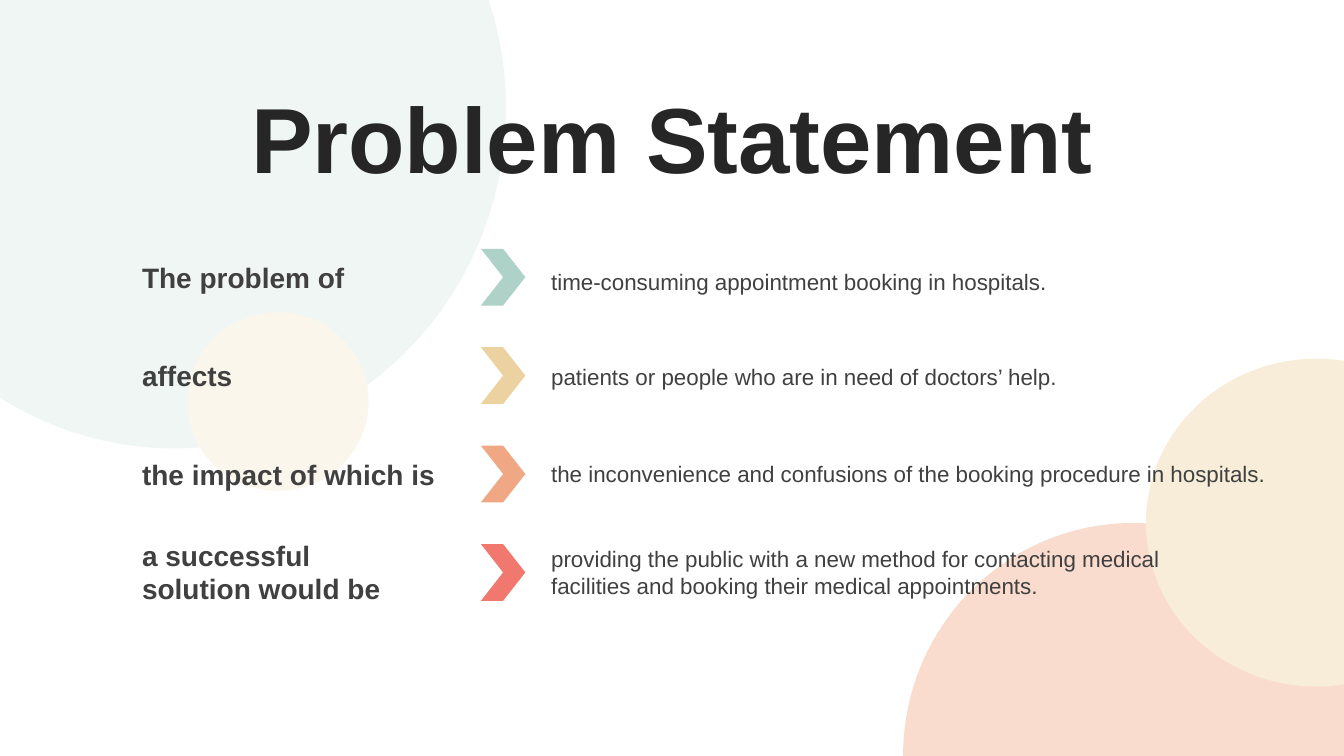
import pptx
import pptx.dml.color
import pptx.enum.shapes
import pptx.enum.text
import pptx.slide
import pptx.text.text
import pptx.util
from typing import NamedTuple

Cm = pptx.util.Cm
RGBColor = pptx.dml.color.RGBColor
Shape = pptx.enum.shapes.MSO_SHAPE

MINT_PALE = RGBColor(0xEF, 0xF6, 0xF4)
CREAM = RGBColor(0xFB, 0xF6, 0xEC)
PEACH_PALE = RGBColor(0xF9, 0xDC, 0xCE)
SAND_PALE = RGBColor(0xF7, 0xED, 0xD9)
MINT = RGBColor(0xAF, 0xD2, 0xC8)
SAND = RGBColor(0xEB, 0xD2, 0xA0)
PEACH = RGBColor(0xF0, 0xA8, 0x84)
CORAL = RGBColor(0xF0, 0x78, 0x6E)
TITLE_INK = RGBColor(0x26, 0x26, 0x26)
BODY_INK = RGBColor(0x40, 0x40, 0x40)

FONT = "Arial"
LABEL_LEFT, CHEVRON_LEFT, DETAIL_LEFT = 3.33, 12.12, 13.64
FIRST_CHEVRON_TOP, ROW_PITCH = 6.27, 2.48


class Box(NamedTuple):
    """Left, top, width and height in centimetres."""
    left: float
    top: float
    width: float
    height: float


class Circle(NamedTuple):
    box: Box
    color: RGBColor


class Statement(NamedTuple):
    label: str
    label_box: Box
    detail: str
    detail_box: Box
    color: RGBColor


CIRCLES = [
    Circle(Box(-3.96, -5.84, 16.71, 17.14), MINT_PALE),
    Circle(Box(4.72, 7.87, 4.57, 4.5), CREAM),
    Circle(Box(22.76, 13.18, 11.58, 11.71), PEACH_PALE),
    Circle(Box(28.88, 9.04, 8.59, 8.26), SAND_PALE),
]

STATEMENTS = [
    Statement("The problem of", Box(LABEL_LEFT, 6.45, 5.79, 1.11),
              "time-consuming appointment booking in hospitals.",
              Box(DETAIL_LEFT, 6.63, 15.88, 0.94), MINT),
    Statement("affects", Box(LABEL_LEFT, 8.92, 2.84, 1.11),
              "patients or people who are in need of doctors’ help.",
              Box(DETAIL_LEFT, 9.02, 17.83, 0.94), SAND),
    Statement("the impact of which is", Box(LABEL_LEFT, 11.4, 8.18, 1.11),
              "the inconvenience and confusions of the booking procedure in hospitals.",
              Box(DETAIL_LEFT, 11.48, 18.64, 0.94), PEACH),
    Statement("a successful solution would be", Box(LABEL_LEFT, 13.44, 6.93, 1.96),
              "providing the public with a new method for contacting medical "
              "facilities and booking their medical appointments.",
              Box(DETAIL_LEFT, 13.61, 15.88, 1.63), CORAL),
]


def add_run(paragraph: pptx.text.text._Paragraph, text: str, size: int,
            color: RGBColor, bold: bool) -> None:
    run = paragraph.add_run()
    run.text = text
    run.font.name = FONT
    run.font.size = pptx.util.Pt(size)
    run.font.bold = bold
    run.font.color.rgb = color


def add_filled(slide: pptx.slide.Slide, kind: Shape, box: Box, color: RGBColor) -> None:
    filled = slide.shapes.add_shape(kind, *map(Cm, box))
    filled.shadow.inherit = False
    filled.fill.solid()
    filled.fill.fore_color.rgb = color
    filled.line.fill.background()


def add_text(slide: pptx.slide.Slide, box: Box, text: str, size: int, bold: bool) -> None:
    frame = slide.shapes.add_textbox(*map(Cm, box)).text_frame
    frame.word_wrap = True
    frame.auto_size = pptx.enum.text.MSO_AUTO_SIZE.SHAPE_TO_FIT_TEXT
    add_run(frame.paragraphs[0], text, size, BODY_INK, bold)


def add_title(slide: pptx.slide.Slide, text: str, box: Box) -> None:
    title = slide.shapes.title
    title.left, title.top, title.width, title.height = map(Cm, box)
    frame = title.text_frame
    frame.word_wrap = True
    frame.auto_size = pptx.enum.text.MSO_AUTO_SIZE.NONE
    frame.vertical_anchor = pptx.enum.text.MSO_ANCHOR.MIDDLE
    heading = frame.paragraphs[0]
    heading.alignment = pptx.enum.text.PP_ALIGN.CENTER
    heading.line_spacing = 0.9
    heading.space_before = pptx.util.Pt(10)
    add_run(heading, text, 66, TITLE_INK, True)
    # Bring the title in front of the circles
    slide.shapes.element.append(title.element)


def main() -> None:
    deck = pptx.Presentation()
    deck.slide_width, deck.slide_height = Cm(33.87), Cm(19.05)
    slide = deck.slides.add_slide(deck.slide_layouts.get_by_name("Title Only"))

    # Background circles
    for circle in CIRCLES:
        add_filled(slide, Shape.OVAL, circle.box, circle.color)

    # Statement rows: label, chevron, detail
    for row, statement in enumerate(STATEMENTS):
        add_text(slide, statement.label_box, statement.label, 20, True)
        chevron_top = FIRST_CHEVRON_TOP + row * ROW_PITCH
        add_filled(slide, Shape.CHEVRON, Box(CHEVRON_LEFT, chevron_top, 1.12, 1.43),
                   statement.color)
        add_text(slide, statement.detail_box, statement.detail, 16, False)

    # Title
    add_title(slide, "Problem Statement", Box(0.86, 2.62, 32.16, 2.01))

    deck.save("out.pptx")


if __name__ == "__main__":
    main()
